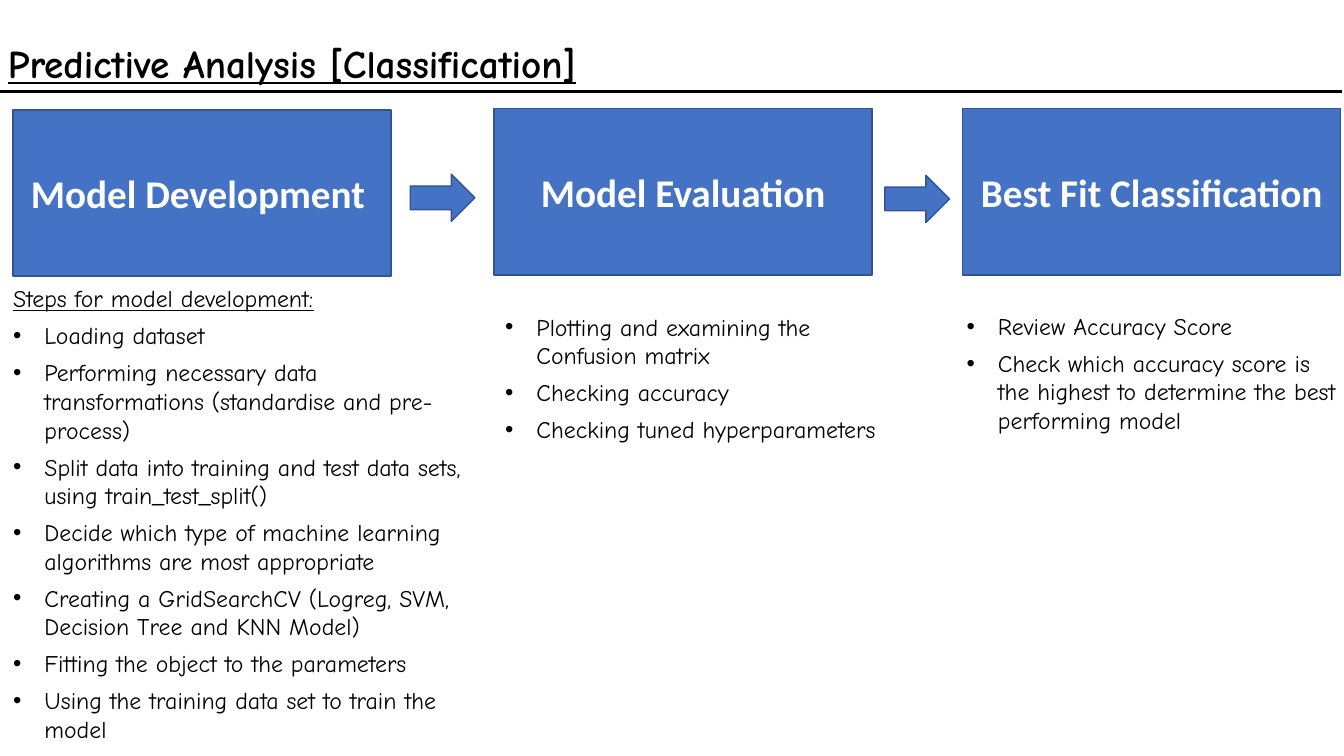
from lxml.etree import SubElement
from pptx import Presentation
from pptx.dml.color import RGBColor
from pptx.enum.shapes import MSO_CONNECTOR as CONNECTOR, MSO_SHAPE as SHAPE
from pptx.enum.text import MSO_ANCHOR as ANCHOR, PP_ALIGN as ALIGN
from pptx.oxml.ns import qn
from pptx.util import Cm, Pt


def color(value):
    return RGBColor.from_string(value)


def add_run(paragraph, text, size, name, font_color, bold=False, underline=False):
    run = paragraph.add_run()
    run.text = text
    font = run.font
    font.size, font.name = Pt(size), name
    font.bold, font.underline = bold, underline
    font.color.rgb = color(font_color)


presentation = Presentation()
presentation.slide_width, presentation.slide_height = Cm(33.87), Cm(19.05)
slide = presentation.slides.add_slide(presentation.slide_layouts[6])

# Title and the rule under it
rule = slide.shapes.add_connector(CONNECTOR.STRAIGHT, 0, Cm(2.31), Cm(33.81), Cm(2.31))
rule.line.color.rgb = color("000000")
rule.line.width = Pt(2.25)
SubElement(rule._element.spPr, qn("a:effectLst"))

title = slide.shapes.add_textbox(Cm(-0.05), Cm(0.99), Cm(27.79), Cm(0.86))
title.text_frame.word_wrap = True
paragraph = title.text_frame.paragraphs[0]
paragraph.alignment = ALIGN.JUSTIFY
paragraph.line_spacing = 0.9
add_run(paragraph, "Predictive Analysis [Classification]", 28, "Comic Neue", "000000", True, True)

# Stage boxes and the block arrows between them
stages = [
    (SHAPE.RECTANGLE, 0.33, 2.77, 9.53, 4.19, "Model Development "),
    (SHAPE.RECTANGLE, 12.45, 2.74, 9.53, 4.19, "Model Evaluation"),
    (SHAPE.RECTANGLE, 24.26, 2.74, 9.53, 4.19, "Best Fit Classification"),
    (SHAPE.RIGHT_ARROW, 10.34, 4.39, 1.63, 1.19, ""),
    (SHAPE.RIGHT_ARROW, 22.3, 4.42, 1.63, 1.19, ""),
]
for kind, left, top, width, height, label in stages:
    shape = slide.shapes.add_shape(kind, Cm(left), Cm(top), Cm(width), Cm(height))
    shape.shadow.inherit = False
    shape.fill.solid()
    shape.fill.fore_color.rgb = color("4472C4")
    shape.line.color.rgb = color("325491")
    shape.line.width = Pt(1)
    if label:
        shape.text_frame.word_wrap = True
        shape.text_frame.vertical_anchor = ANCHOR.MIDDLE
        paragraph = shape.text_frame.paragraphs[0]
        paragraph.alignment = ALIGN.CENTER
        add_run(paragraph, label, 28, "Calibri", "FFFFFF", True)

# Step lists under the boxes: left, top, width, heading, bullets
step_lists = [
    (0.33, 7.16, 11.63, "Steps for model development:", [
        "Loading dataset",
        "Performing necessary data transformations (standardise and pre-process)",
        "Split data into training and test data sets, using train_test_split()",
        "Decide which type of machine learning algorithms are most appropriate",
        "Creating a GridSearchCV (Logreg, SVM, Decision Tree and KNN Model)",
        "Fitting the object to the parameters",
        "Using the training data set to train the model",
    ]),
    (12.73, 7.87, 10.41, None, [
        "Plotting and examining the Confusion matrix",
        "Checking accuracy",
        "Checking tuned hyperparameters",
    ]),
    (24.36, 7.85, 9.5, None, [
        "Review Accuracy Score",
        "Check which accuracy score is the highest to determine the best performing model",
    ]),
]
for left, top, width, heading, steps in step_lists:
    textbox = slide.shapes.add_textbox(Cm(left), Cm(top), Cm(width), Cm(11.18))
    frame = textbox.text_frame
    frame.word_wrap = True
    frame.margin_left = frame.margin_top = frame.margin_right = frame.margin_bottom = 0
    lines = [heading] + steps if heading else steps
    for index, text in enumerate(lines):
        paragraph = frame.add_paragraph() if index else frame.paragraphs[0]
        paragraph.space_after = Pt(6)
        is_heading = text == heading
        if not is_heading:
            properties = paragraph._p.get_or_add_pPr()
            properties.set("marL", str(Cm(0.79)))
            properties.set("indent", str(-Cm(0.79)))
            SubElement(properties, qn("a:buFont"), typeface="Arial")
            SubElement(properties, qn("a:buChar"), char="•")
        add_run(paragraph, text, 17, "Comic Neue", "000000", underline=is_heading)

presentation.save("out.pptx")
